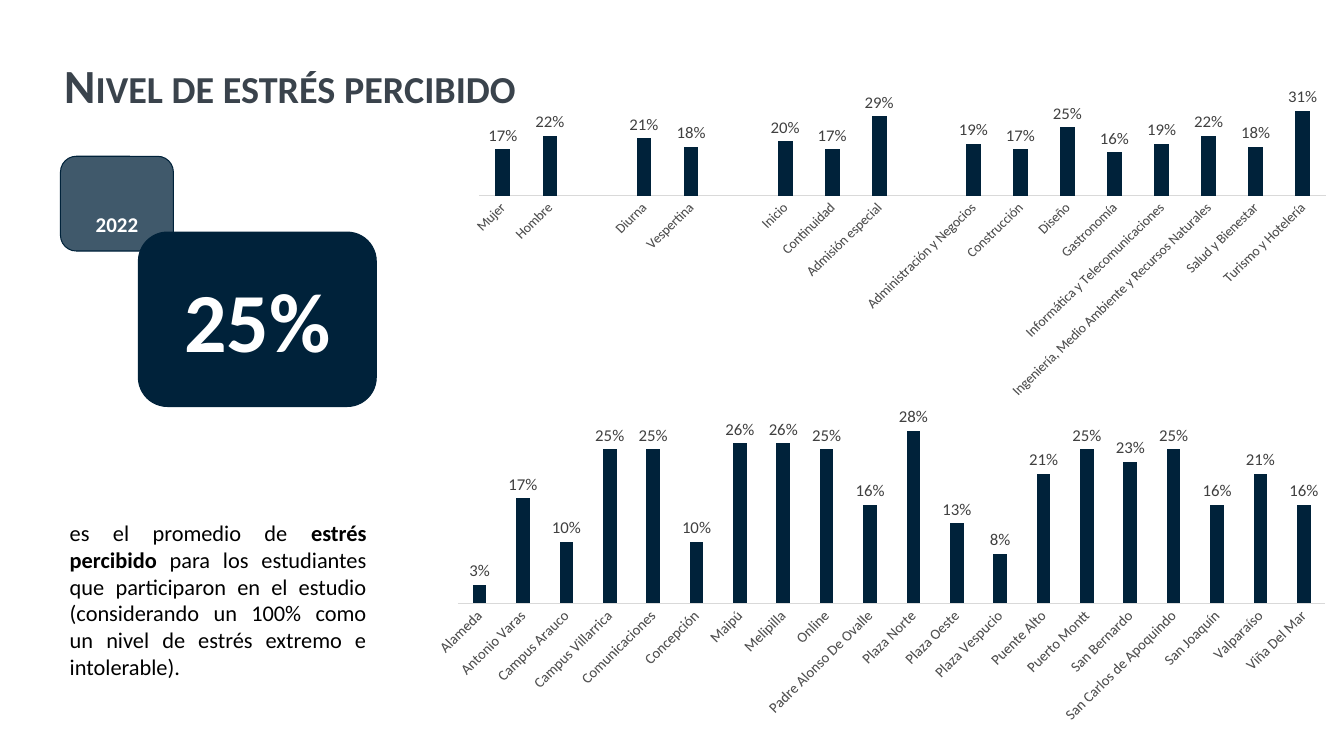
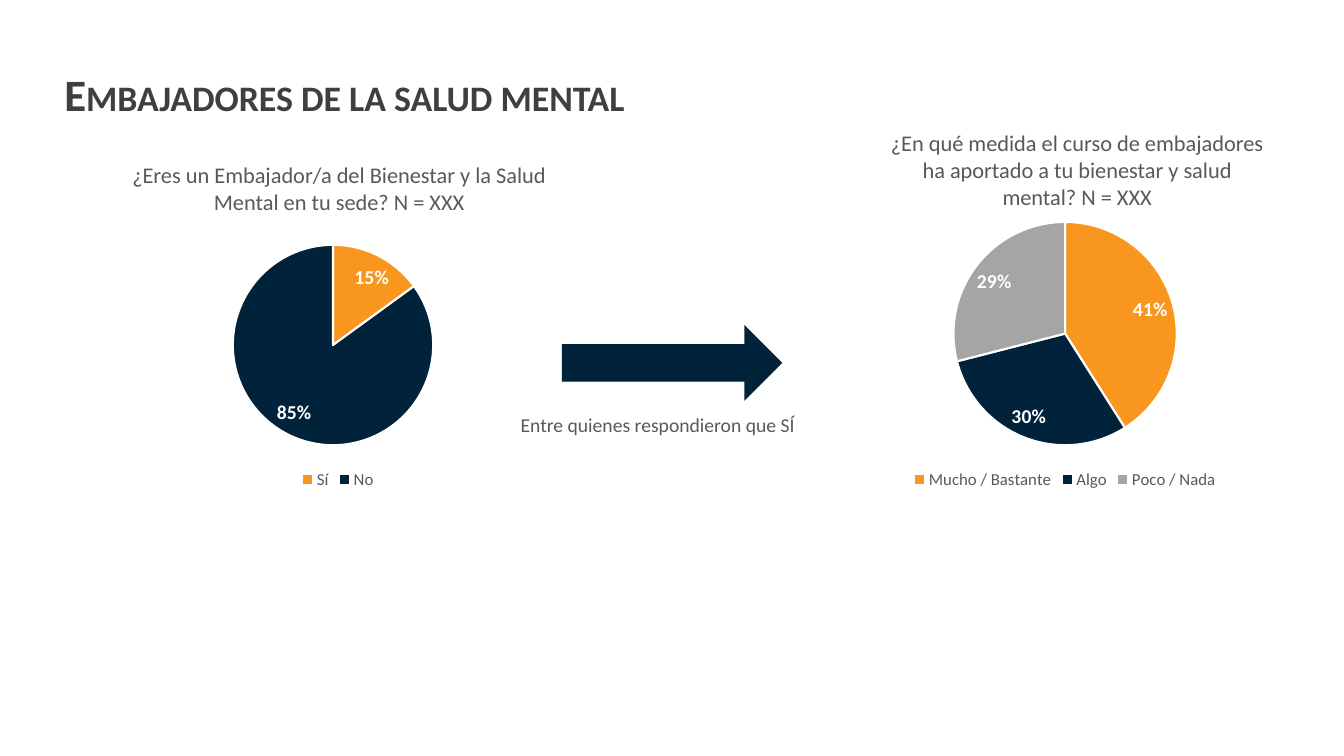
"""Two slides on student stress and mental-health ambassadors."""
from dataclasses import dataclass

from lxml import etree
from pptx import Presentation
from pptx.chart.data import CategoryChartData
from pptx.dml.color import RGBColor
from pptx.enum.chart import XL_CHART_TYPE, XL_LABEL_POSITION, XL_LEGEND_POSITION, XL_TICK_MARK
from pptx.enum.shapes import MSO_SHAPE
from pptx.enum.text import MSO_ANCHOR, PP_ALIGN
from pptx.oxml.ns import qn
from pptx.util import Inches, Pt

COLUMN, PIE = XL_CHART_TYPE.COLUMN_CLUSTERED, XL_CHART_TYPE.PIE
OUTSIDE, BEST_FIT = XL_LABEL_POSITION.OUTSIDE_END, XL_LABEL_POSITION.BEST_FIT
LEGEND_BOTTOM, NO_TICK = XL_LEGEND_POSITION.BOTTOM, XL_TICK_MARK.NONE
ROUNDED, ARROW = MSO_SHAPE.ROUNDED_RECTANGLE, MSO_SHAPE.RIGHT_ARROW
TOP, MIDDLE, BOTTOM = MSO_ANCHOR.TOP, MSO_ANCHOR.MIDDLE, MSO_ANCHOR.BOTTOM
LEFT, CENTER, JUSTIFY = PP_ALIGN.LEFT, PP_ALIGN.CENTER, PP_ALIGN.JUSTIFY
WIDTH, HEIGHT = Inches(13.333), Inches(7.5)


@dataclass(frozen=True)
class Theme:
    """Colours, font and type sizes shared by the slides."""
    font: str = "Calibri"
    navy: RGBColor = RGBColor(0x00, 0x22, 0x3A)
    orange: RGBColor = RGBColor(0xF8, 0x96, 0x1E)
    silver: RGBColor = RGBColor(0xA5, 0xA5, 0xA5)
    slate: RGBColor = RGBColor(0x3A, 0x43, 0x4C)
    charcoal: RGBColor = RGBColor(0x3F, 0x3F, 0x3F)
    label: RGBColor = RGBColor(0x40, 0x40, 0x40)
    muted: RGBColor = RGBColor(0x59, 0x59, 0x59)
    rule: RGBColor = RGBColor(0xD9, 0xD9, 0xD9)
    black: RGBColor = RGBColor(0, 0, 0)
    white: RGBColor = RGBColor(0xFF, 0xFF, 0xFF)
    stress_title: float = 34
    ambassador_title: float = 32
    body: float = 16
    caption: float = 14
    small: float = 12
    profile_name: float = 10
    campus_name: float = 10.5
    year: float = 15
    figure: float = 60


THEME = Theme()

STRESS_BY_PROFILE = [
    ("Mujer", 0.17), ("Hombre", 0.22), ("", None),
    ("Diurna", 0.21), ("Vespertina", 0.18), ("", None),
    ("Inicio", 0.2), ("Continuidad", 0.17), ("Admisión especial", 0.29), ("", None),
    ("Administración y Negocios", 0.19), ("Construcción", 0.17), ("Diseño", 0.25),
    ("Gastronomía", 0.16), ("Informática y Telecomunicaciones", 0.19),
    ("Ingeniería, Medio Ambiente y Recursos Naturales", 0.22),
    ("Salud y Bienestar", 0.18), ("Turismo y Hotelería", 0.31),
]
STRESS_BY_CAMPUS = [
    ("Alameda", 0.03), ("Antonio Varas", 0.17), ("Campus Arauco", 0.1),
    ("Campus Villarrica", 0.25), ("Comunicaciones", 0.25), ("Concepción", 0.1),
    ("Maipú", 0.26), ("Melipilla", 0.26), ("Online", 0.25),
    ("Padre Alonso De Ovalle", 0.16), ("Plaza Norte", 0.28), ("Plaza Oeste", 0.13),
    ("Plaza Vespucio", 0.08), ("Puente Alto", 0.21), ("Puerto Montt", 0.25),
    ("San Bernardo", 0.23), ("San Carlos de Apoquindo", 0.25), ("San Joaquín", 0.16),
    ("Valparaíso", 0.21), ("Viña Del Mar", 0.16),
]
AMBASSADORS = [("Sí", 0.15), ("No", 0.85)]
COURSE_VALUE = [("Mucho / Bastante", 0.41), ("Algo", 0.3), ("Poco / Nada", 0.29)]


def area(left, top, width, height):
    """Turn percentages of the slide into left, top, width and height."""
    return (int(WIDTH * left / 100), int(HEIGHT * top / 100),
            int(WIDTH * width / 100), int(HEIGHT * height / 100))


def style(font, size, color, bold=False):
    """Apply the theme font with a size, colour and weight."""
    font.name, font.size, font.bold = THEME.font, Pt(size), bold
    font.color.rgb = color


def write(shape, runs, size, color, align=CENTER, anchor=MIDDLE):
    """Write (text, bold) runs as one wrapped paragraph and return it."""
    frame = shape.text_frame
    frame.word_wrap, frame.vertical_anchor = True, anchor
    paragraph = frame.paragraphs[0]
    paragraph.alignment = align
    for text, bold in runs:
        run = paragraph.add_run()
        run.text = text
        style(run.font, size, color, bold)
    return paragraph


def add_text(slide, place, runs, size, color, align=CENTER, anchor=TOP):
    """Add a text box and return its paragraph."""
    return write(slide.shapes.add_textbox(*area(*place)), runs, size, color, align, anchor)


def add_title(slide, place, text, size, color):
    """Add a bold small-caps heading."""
    heading = add_text(slide, place, [(text, True)], size, color, LEFT, MIDDLE)
    heading.line_spacing = 0.9
    heading.runs[0].font._element.set("cap", "small")


def add_block(slide, kind, place, line_width=0.75, opacity=100):
    """Add a navy preset shape with sharp joins, optionally translucent."""
    block = slide.shapes.add_shape(kind, *area(*place))
    block.shadow.inherit = False
    block.fill.solid()
    block.fill.fore_color.rgb = THEME.navy
    block.line.color.rgb = THEME.navy
    block.line.width = Pt(line_width)
    properties = block._element.spPr
    etree.SubElement(properties.find(qn("a:ln")), qn("a:miter")).set("lim", "800000")
    if opacity < 100:
        tint = properties.find(qn("a:solidFill")).find(qn("a:srgbClr"))
        etree.SubElement(tint, qn("a:alpha")).set("val", str(opacity * 1000))
    return block


def set_plot_area(chart, plot_box):
    """Fix the inner plot area as shares of the chart's size."""
    plot_area = chart._chartSpace.chart.plotArea
    for automatic in plot_area.findall(qn("c:layout")):
        plot_area.remove(automatic)
    layout = etree.Element(qn("c:layout"))
    plot_area.insert(0, layout)
    manual = etree.SubElement(layout, qn("c:manualLayout"))
    settings = [("layoutTarget", "inner"), ("xMode", "edge"), ("yMode", "edge"),
                *zip("xywh", plot_box)]
    for tag, value in settings:
        etree.SubElement(manual, qn(f"c:{tag}")).set("val", str(value))


def add_percent_chart(slide, kind, place, rows):
    """Add a one-series percentage chart."""
    data = CategoryChartData(number_format="0%")
    data.categories = [name for name, _ in rows]
    data.add_series("Series 1", [share for _, share in rows])
    chart = slide.shapes.add_chart(kind, *area(*place), data).chart
    chart.has_title = chart.has_legend = False
    style(chart.font, THEME.small, THEME.muted)
    chart.plots[0].vary_by_categories = kind == PIE
    return chart


def label_values(chart, position, size, color, bold=False):
    """Show the values of the chart as percentages."""
    plot = chart.plots[0]
    plot.has_data_labels = True
    labels = plot.data_labels
    labels.show_value, labels.position = True, position
    labels.number_format, labels.number_format_is_linked = "0%", False
    style(labels.font, size, color, bold)


def add_columns(slide, place, rows, top_value, name_size):
    """Add a column chart with slanted category names."""
    chart = add_percent_chart(slide, COLUMN, place, rows)
    label_values(chart, OUTSIDE, THEME.small, THEME.label)
    plot = chart.plots[0]
    plot.gap_width, plot.overlap = 219, -27
    bars = plot.series[0].format.fill
    bars.solid()
    bars.fore_color.rgb = THEME.navy
    scale, names = chart.value_axis, chart.category_axis
    scale.minimum_scale, scale.maximum_scale = 0, top_value
    scale.has_major_gridlines = scale.visible = False
    names.major_tick_mark = names.minor_tick_mark = NO_TICK
    names.format.line.color.rgb = THEME.rule
    names.format.line.width = Pt(0.75)
    style(names.tick_labels.font, name_size, THEME.muted)
    names._element.find(qn("c:txPr")).find(qn("a:bodyPr")).set("rot", "-2700000")


def add_pie(slide, place, rows, plot_box):
    """Add a pie chart with a legend beneath it."""
    chart = add_percent_chart(slide, PIE, place, rows)
    set_plot_area(chart, plot_box)
    label_values(chart, BEST_FIT, THEME.caption, THEME.white, True)
    chart.has_legend = True
    chart.legend.position = LEGEND_BOTTOM
    chart.legend.include_in_layout = False
    style(chart.legend.font, THEME.small, THEME.muted)
    palette = (THEME.orange, THEME.navy, THEME.silver)
    for index, (_, color) in enumerate(zip(rows, palette)):
        piece = chart.plots[0].series[0].points[index].format
        piece.fill.solid()
        piece.fill.fore_color.rgb = color
        piece.line.color.rgb = THEME.white
        piece.line.width = Pt(1.5)


def build_stress(slide):
    """Build the perceived-stress slide."""
    add_title(slide, (4.05, 5.33, 95.5, 12.53), "Nivel de estrés percibido",
              THEME.stress_title, THEME.slate)
    add_columns(slide, (33.9, 11.6, 66.1, 41.07), STRESS_BY_PROFILE, 0.35, THEME.profile_name)
    add_columns(slide, (31.06, 53.87, 68.94, 42.67), STRESS_BY_CAMPUS, 0.3, THEME.campus_name)
    explanation = [
        ("es el promedio de ", False), ("estrés percibido", True),
        (" para los estudiantes que participaron en el estudio (considerando un 100% "
         "como un nivel de estrés extremo e intolerable).", False),
    ]
    add_text(slide, (4.45, 68, 23.56, 22.93), explanation, THEME.body, THEME.black, JUSTIFY)
    year = add_block(slide, ROUNDED, (4.5, 20.67, 8.4, 12.53), opacity=75)
    year.text_frame.margin_bottom = Inches(0.1)
    write(year, [("2022", True)], THEME.year, THEME.white, anchor=BOTTOM)
    average = add_block(slide, ROUNDED, (10.3, 30.7, 17.7, 23.07))
    write(average, [("25%", True)], THEME.figure, THEME.white)


def build_ambassadors(slide):
    """Build the mental-health ambassadors slide."""
    questions = [
        ((7.8, 20.67, 34.88, 8.53),
         "¿Eres un Embajador/a del Bienestar y la Salud Mental en tu sede? N = XXX",
         6, AMBASSADORS, (0.29, 0.13, 0.4, 0.7)),
        ((65.19, 16.4, 29.93, 12.13),
         "¿En qué medida el curso de embajadores ha aportado a tu bienestar y salud "
         "mental? N = XXX",
         60.09, COURSE_VALUE, (0.28, 0.05, 0.44, 0.78)),
    ]
    for place, question, pie_left, answers, plot_box in questions:
        add_text(slide, place, [(question, False)], THEME.body, THEME.muted)
        add_pie(slide, (pie_left, 27.47, 38.33, 37.87), answers, plot_box)
    add_block(slide, ARROW, (41.86, 43.2, 16.28, 9.6), line_width=1)
    add_text(slide, (26.18, 53.9, 45.54, 4.53),
             [("Entre quienes respondieron que SÍ", False)], THEME.caption, THEME.muted)
    add_title(slide, (4.05, 3.2, 95.5, 19.33), "Embajadores de la salud mental",
              THEME.ambassador_title, THEME.charcoal)


def main():
    """Build and save the presentation."""
    deck = Presentation()
    deck.slide_width, deck.slide_height = WIDTH, HEIGHT
    for build in (build_stress, build_ambassadors):
        build(deck.slides.add_slide(deck.slide_layouts[6]))
    deck.save("out.pptx")


if __name__ == "__main__":
    main()
